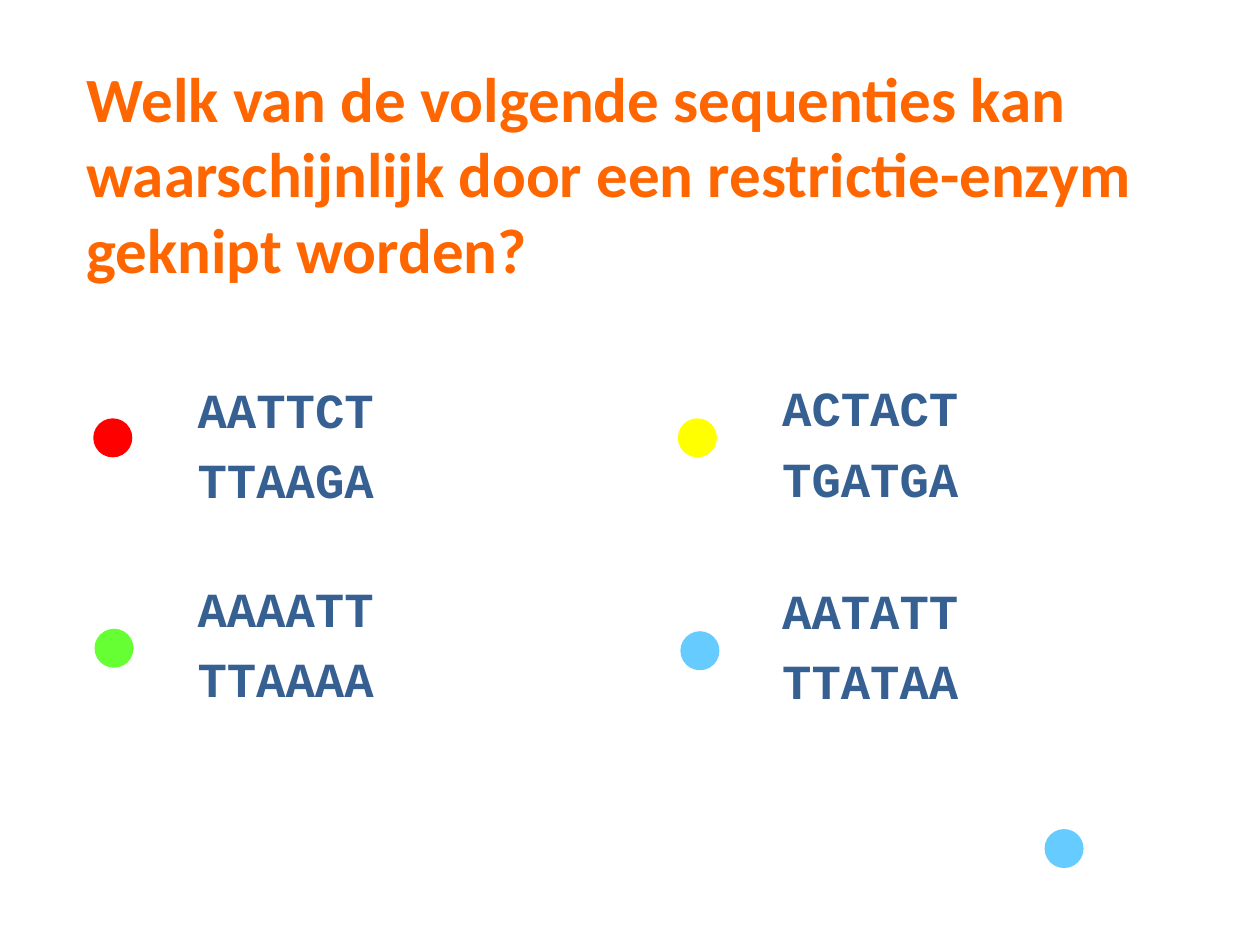
from pptx import Presentation
from pptx.dml.color import RGBColor
from pptx.enum.shapes import MSO_SHAPE
from pptx.enum.text import MSO_ANCHOR
from pptx.util import Inches, Pt


def color(value):
    return RGBColor.from_string(value)


def add_text(left, top, width, height, lines, font, size, fill):
    box = page.shapes.add_textbox(Inches(left), Inches(top), Inches(width), Inches(height))
    frame = box.text_frame
    frame.word_wrap = True
    for index, line in enumerate(lines):
        para = frame.paragraphs[0] if index == 0 else frame.add_paragraph()
        span = para.add_run()
        span.text = line
        span.font.name = font
        span.font.size = Pt(size)
        span.font.bold = True
        span.font.color.rgb = color(fill)
    return frame


deck = Presentation()
deck.slide_width, deck.slide_height = Inches(10), Inches(7.5)
page = deck.slides.add_slide(deck.slide_layouts[6])

# Question
question = "Welk van de volgende sequenties kan waarschijnlijk door een restrictie-enzym geknipt worden?"
title = add_text(0.59, 0.07, 9.33, 2.6, [question], "Calibri", 36, "FF6600")
title.vertical_anchor = MSO_ANCHOR.MIDDLE

# Coloured dots
dots = [
    (0.74, 3.32, "FF0000"),
    (0.75, 4.99, "66FF33"),
    (5.38, 3.32, "FFFF00"),
    (5.40, 5.01, "66CCFF"),
    (8.29, 6.58, "66CCFF"),
]
for left, top, fill in dots:
    dot = page.shapes.add_shape(
        MSO_SHAPE.OVAL, Inches(left), Inches(top), Inches(0.31), Inches(0.31))
    dot.shadow.inherit = False
    dot.fill.solid()
    dot.fill.fore_color.rgb = color(fill)
    dot.line.fill.background()

# Sequences: left, top, width, height, lines
sequences = [
    (1.47, 2.96, 1.95, 1.25, ["AATTCT", "TTAAGA"]),
    (1.47, 4.54, 1.84, 1.25, ["AAAATT", "TTAAAA"]),
    (6.11, 2.95, 2.20, 1.33, ["ACTACT", "TGATGA"]),
    (6.11, 4.56, 1.93, 1.38, ["AATATT", "TTATAA"]),
]
for left, top, width, height, lines in sequences:
    frame = add_text(left, top, width, height, lines, "Courier New", 28, "376092")
    for para in frame.paragraphs:
        para.space_before = Pt(6.5)

deck.save("out.pptx")
